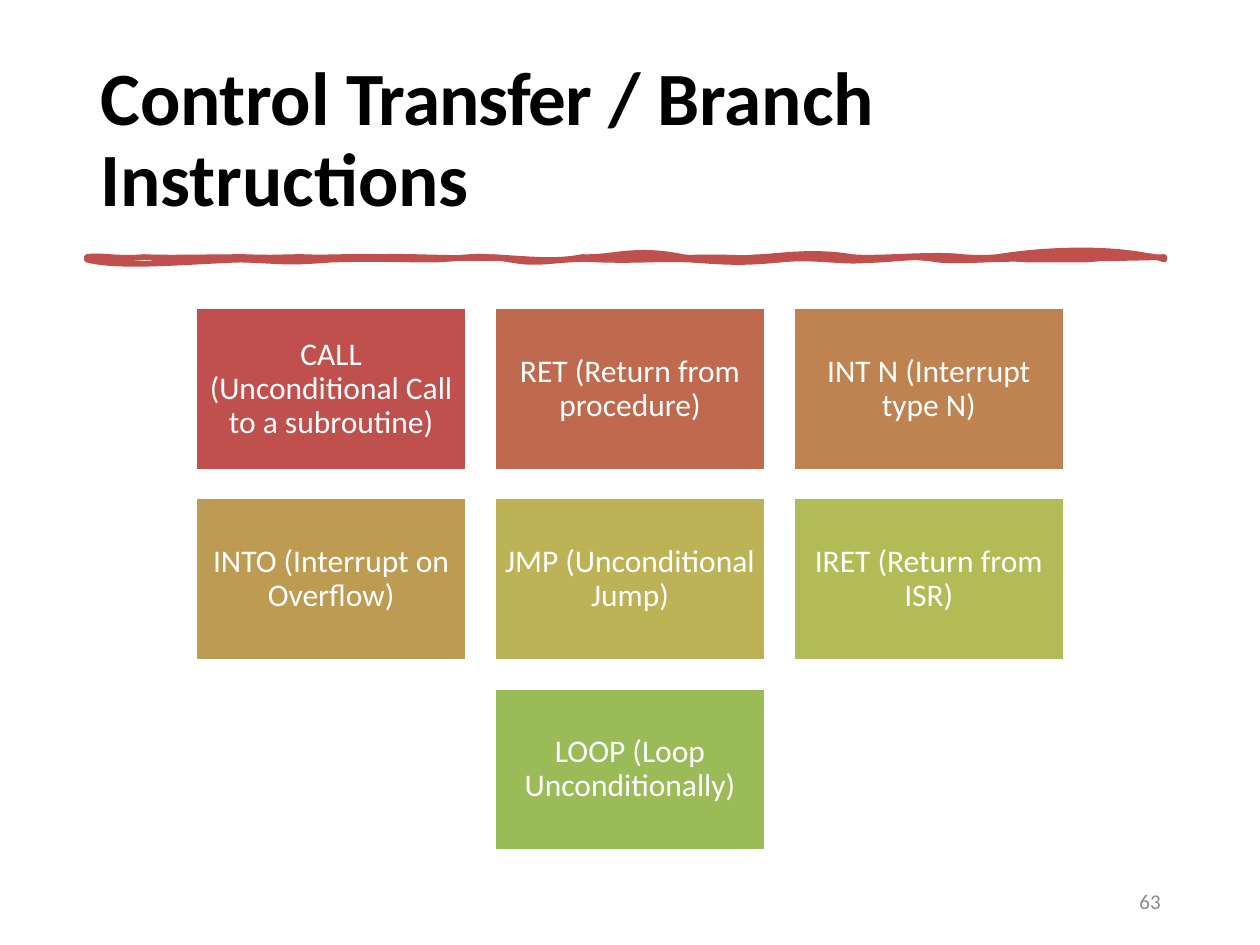
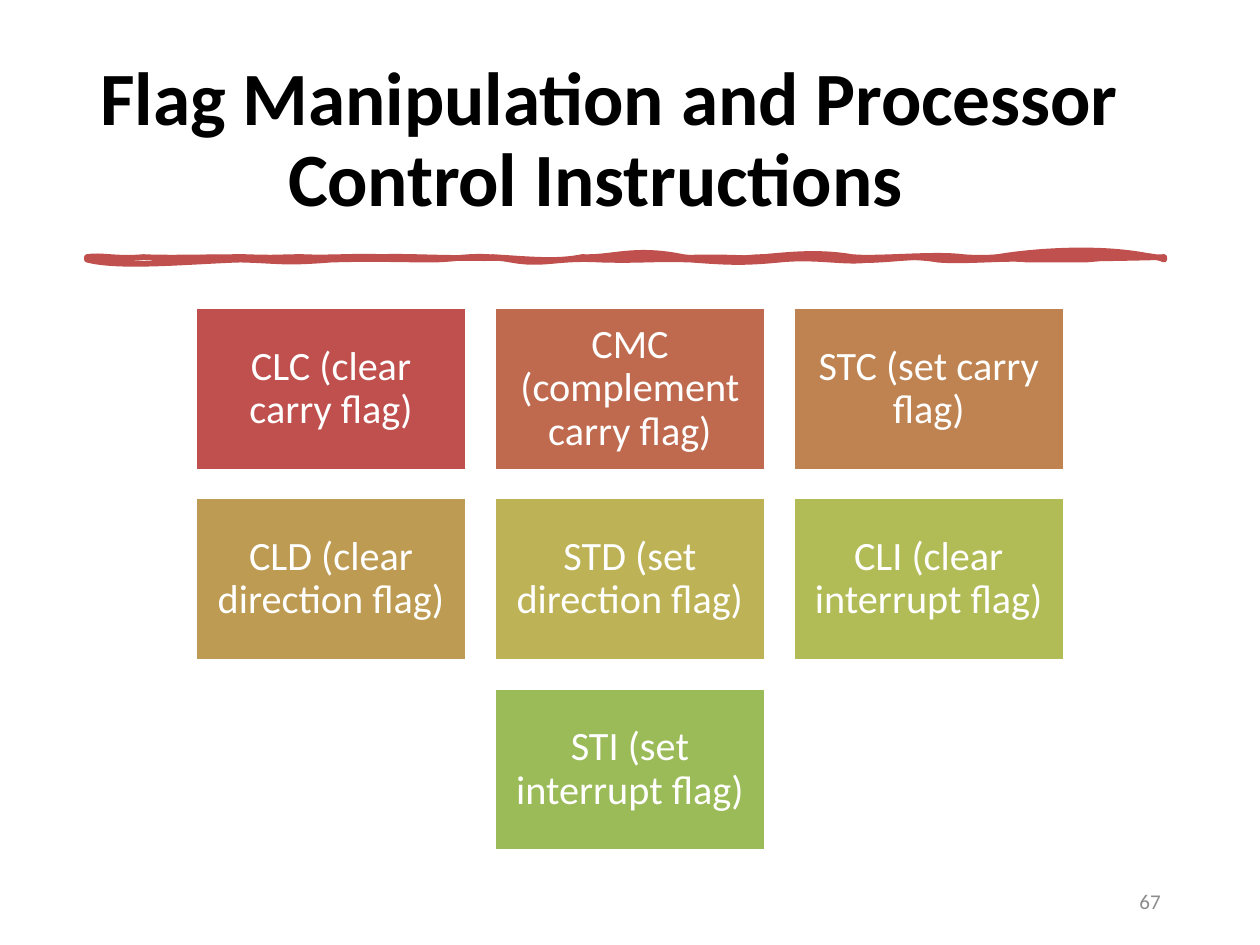
from dataclasses import dataclass

from lxml import etree
from pptx import Presentation, util as u
from pptx.dml.color import RGBColor
from pptx.enum import shapes, text
from pptx.oxml import ns

# Content: title runs carry their letter spacing in points
SLIDES = [
    {
        "title": [("Control ", -0.15), ("Transfer ", -0.5), ("/ Branch Instructions", -0.05)],
        "title_indent": (0.01, 0),
        "cards": [
            "CALL (Unconditional Call to a subroutine)",
            "RET (Return from procedure)",
            "INT N (Interrupt type N)",
            "INTO (Interrupt on Overflow)",
            "JMP (Unconditional Jump)",
            "IRET (Return from ISR)",
            "LOOP (Loop Unconditionally)",
        ],
        "card_size": 18,
        "card_inset": 0.07,
        "number": "63",
    },
    {
        "title": [("Flag Manipulation and Processor ", -0.05), ("Control ", -0.15),
                  ("Instructions", -0.05)],
        "title_indent": (1.5, -1.49),
        "cards": [
            "CLC (clear carry flag)",
            "CMC (complement carry flag)",
            "STC (set carry flag)",
            "CLD (clear direction flag)",
            "STD (set direction flag)",
            "CLI (clear interrupt flag)",
            "STI (set interrupt flag)",
        ],
        "card_size": 23,
        "card_inset": 0.1,
        "number": "67",
    },
]


@dataclass(frozen=True)
class Theme:
    font: str = "Calibri"
    title: str = "000000"
    number: str = "8C8C8C"
    accent: str = "C0504D"
    white: str = "FFFFFF"
    cards: tuple = ("C0504D", "BF6A4F", "BE8351", "BD9B53", "BDB255", "B1BC57", "9BBB59")
    title_size: int = 43
    number_size: int = 12
    line_spacing: float = 0.9
    card_line: float = 2
    brush_line: float = 3.25


THEME = Theme()

# Layout in inches; card height and gaps are fractions of the card width
TITLE_BOX = (0.69, 0.4, 8.62, 1.45)
NUMBER_BOX = (7.06, 6.95, 2.25, 0.4)
GRID_LEFT, GRID_TOP, GRID_WIDTH, COLUMNS = 1.55, 2.44, 6.9, 3
GAP_RATIO, HEIGHT_RATIO = 0.1, 0.6
CARD_WIDTH = GRID_WIDTH / (COLUMNS + (COLUMNS - 1) * GAP_RATIO)
CARD_HEIGHT = CARD_WIDTH * HEIGHT_RATIO
CARD_GAP = CARD_WIDTH * GAP_RATIO

# Hand-drawn rule under the title: Bezier curves as two controls and an end
BRUSH_START = (0.69, 2.04)
BRUSH_OUTLINE = [
    (0.8, 2.02, 0.92, 2.06, 1.14, 2.04), (1.31, 2.05, 1.67, 2.04, 1.94, 2.04),
    (2.23, 2.05, 2.19, 2.04, 2.4, 2.04), (2.61, 2.05, 2.84, 2.03, 3.02, 2.04),
    (3.26, 2.03, 3.63, 2.06, 3.91, 2.04), (4.23, 2.06, 4.42, 2.08, 4.62, 2.04),
    (4.86, 2.05, 5.03, 1.96, 5.42, 2.04), (5.76, 2.08, 5.93, 2.04, 6.05, 2.04),
    (6.2, 2.03, 6.47, 1.99, 6.76, 2.04), (6.96, 2.06, 7.41, 2.01, 7.64, 2.04),
    (7.86, 2.06, 8.06, 2.02, 8.18, 2.04), (8.34, 2.06, 8.84, 2.05, 9.24, 2.04),
    (9.24, 2.05, 9.24, 2.05, 9.24, 2.06), (9.11, 2, 8.78, 2.05, 8.61, 2.06),
    (8.44, 2.06, 8.3, 2.06, 8.15, 2.06), (8.03, 2.04, 7.64, 2.08, 7.44, 2.06),
    (7.27, 2.03, 7.09, 2.04, 6.9, 2.06), (6.71, 2.09, 6.49, 2.03, 6.19, 2.06),
    (5.89, 2.09, 5.76, 2.08, 5.48, 2.06), (5.17, 2.05, 5.1, 2.07, 4.76, 2.06),
    (4.41, 2.04, 4.32, 2.11, 4.05, 2.06), (3.76, 2.01, 3.64, 2.06, 3.42, 2.06),
    (3.21, 2.06, 2.96, 2.05, 2.63, 2.06), (2.24, 2.09, 2.25, 2.07, 1.91, 2.06),
    (1.55, 2.07, 0.95, 2.13, 0.69, 2.06), (0.69, 2.05, 0.69, 2.05, 0.69, 2.04),
]
BRUSH_BODY = [
    (0.86, 2.03, 1, 2.03, 1.31, 2.04), (1.63, 2.03, 1.59, 2.04, 1.77, 2.04),
    (1.94, 2.02, 2.1, 2.05, 2.21, 2.04), (2.33, 2.03, 2.52, 2.05, 2.65, 2.04),
    (2.9, 2.05, 2.97, 2.02, 3.28, 2.04), (3.58, 2.04, 3.65, 2.02, 3.91, 2.04),
    (4.17, 2.08, 4.58, 2.05, 4.79, 2.04), (5.07, 1.98, 5.18, 2.05, 5.33, 2.04),
    (5.51, 2, 5.98, 2.03, 6.22, 2.04), (6.5, 2.05, 6.66, 2.06, 7.1, 2.04),
    (7.53, 2.06, 7.66, 2.02, 7.81, 2.04), (7.99, 1.99, 8.75, 1.9, 9.24, 2.04),
    (9.24, 2.05, 9.24, 2.05, 9.24, 2.06), (9.02, 2.04, 8.92, 2.03, 8.78, 2.06),
    (8.7, 2.09, 8.3, 2.01, 7.9, 2.06), (7.53, 2.08, 7.56, 2.04, 7.36, 2.06),
    (7.14, 2.06, 6.82, 2.12, 6.64, 2.06), (6.42, 2.01, 6.06, 2, 5.76, 2.06),
    (5.45, 2.05, 5.39, 2.06, 5.05, 2.06), (4.72, 2.09, 4.82, 2.07, 4.59, 2.06),
    (4.4, 2.05, 4.28, 2.09, 4.05, 2.06), (3.83, 2.09, 3.61, 2.05, 3.17, 2.06),
    (2.73, 2.07, 2.75, 2.07, 2.45, 2.06), (2.16, 2.05, 2.13, 2.05, 1.91, 2.06),
    (1.72, 1.97, 1.31, 2.07, 0.69, 2.06), (0.69, 2.06, 0.69, 2.05, 0.69, 2.04),
]


def rgb(value):
    return RGBColor.from_string(value)


def inches(values):
    return [u.Inches(value) for value in values]


def style(paragraph, size, color, align, bold=False):
    paragraph.alignment = align
    font = paragraph.font
    font.name, font.size, font.bold = THEME.font, u.Pt(size), bold
    font.color.rgb = rgb(color)


def text_frame(slide, box):
    frame = slide.shapes.add_textbox(*inches(box)).text_frame
    frame.word_wrap = True
    frame.vertical_anchor = text.MSO_ANCHOR.MIDDLE
    return frame


def add_title(slide, runs, indent):
    paragraph = text_frame(slide, TITLE_BOX).paragraphs[0]
    style(paragraph, THEME.title_size, THEME.title, text.PP_ALIGN.LEFT, bold=True)
    paragraph.line_spacing = THEME.line_spacing
    properties = paragraph._p.get_or_add_pPr()
    for name, value in zip(("marL", "indent"), indent):
        properties.set(name, str(u.Inches(value)))
    for words, spacing in runs:
        run = paragraph.add_run()
        run.text = words
        run._r.get_or_add_rPr().set("spc", str(round(spacing * 100)))


def add_curves(path_list, brush, curves, **flags):
    """Append a closed path of Bezier curves in the brush's own coordinates."""
    outline = etree.SubElement(path_list, ns.qn("a:path"), w=str(brush.width),
                               h=str(brush.height), **flags)

    def add_step(tag, values):
        step = etree.SubElement(outline, ns.qn(tag))
        for x, y in zip(values[::2], values[1::2]):
            etree.SubElement(step, ns.qn("a:pt"), x=str(u.Inches(x) - brush.left),
                             y=str(u.Inches(y) - brush.top))

    add_step("a:moveTo", BRUSH_START)
    for curve in curves:
        add_step("a:cubicBezTo", curve)
    etree.SubElement(outline, ns.qn("a:close"))


def add_brush(slide):
    # The curve ends set the frame; the curves then replace the straight lines
    builder = slide.shapes.build_freeform(*inches(BRUSH_START))
    builder.add_line_segments([inches(curve[4:]) for curve in BRUSH_OUTLINE], close=True)
    brush = builder.convert_to_shape()
    path_list = brush._element.spPr.find(".//" + ns.qn("a:pathLst"))
    path_list.remove(path_list[0])
    add_curves(path_list, brush, BRUSH_OUTLINE, fill="none")
    add_curves(path_list, brush, BRUSH_BODY, stroke="0")
    brush.shadow.inherit = False
    brush.fill.solid()
    brush.fill.fore_color.rgb = rgb(THEME.accent)
    brush.line.color.rgb = rgb(THEME.accent)
    brush.line.width = u.Pt(THEME.brush_line)
    etree.SubElement(brush.line._get_or_add_ln(), ns.qn("a:round"))


def add_cards(slide, labels, size, inset):
    for index, (label, color) in enumerate(zip(labels, THEME.cards)):
        row, column = divmod(index, COLUMNS)
        # A short last row is centred
        in_row = min(COLUMNS, len(labels) - row * COLUMNS)
        left = GRID_LEFT + (column + (COLUMNS - in_row) / 2) * (CARD_WIDTH + CARD_GAP)
        top = GRID_TOP + row * (CARD_HEIGHT + CARD_GAP)
        card = slide.shapes.add_shape(shapes.MSO_SHAPE.RECTANGLE,
                                      *inches((left, top, CARD_WIDTH, CARD_HEIGHT)))
        card.shadow.inherit = False
        card.fill.solid()
        card.fill.fore_color.rgb = rgb(color)
        card.line.color.rgb = rgb(THEME.white)
        card.line.width = u.Pt(THEME.card_line)
        frame = card.text_frame
        frame.word_wrap = True
        frame.vertical_anchor = text.MSO_ANCHOR.MIDDLE
        frame.margin_left = frame.margin_right = u.Inches(inset)
        frame.margin_top = frame.margin_bottom = u.Inches(inset)
        paragraph = frame.paragraphs[0]
        paragraph.text = label
        paragraph.line_spacing = THEME.line_spacing
        style(paragraph, size, THEME.white, text.PP_ALIGN.CENTER)


def add_number(slide, number):
    paragraph = text_frame(slide, NUMBER_BOX).paragraphs[0]
    paragraph.text = number
    style(paragraph, THEME.number_size, THEME.number, text.PP_ALIGN.RIGHT)


def main():
    presentation = Presentation()
    presentation.slide_width, presentation.slide_height = inches((10, 7.5))
    for content in SLIDES:
        slide = presentation.slides.add_slide(presentation.slide_layouts[6])
        add_title(slide, content["title"], content["title_indent"])
        add_brush(slide)
        add_number(slide, content["number"])
        add_cards(slide, content["cards"], content["card_size"], content["card_inset"])
    presentation.save("out.pptx")


if __name__ == "__main__":
    main()
